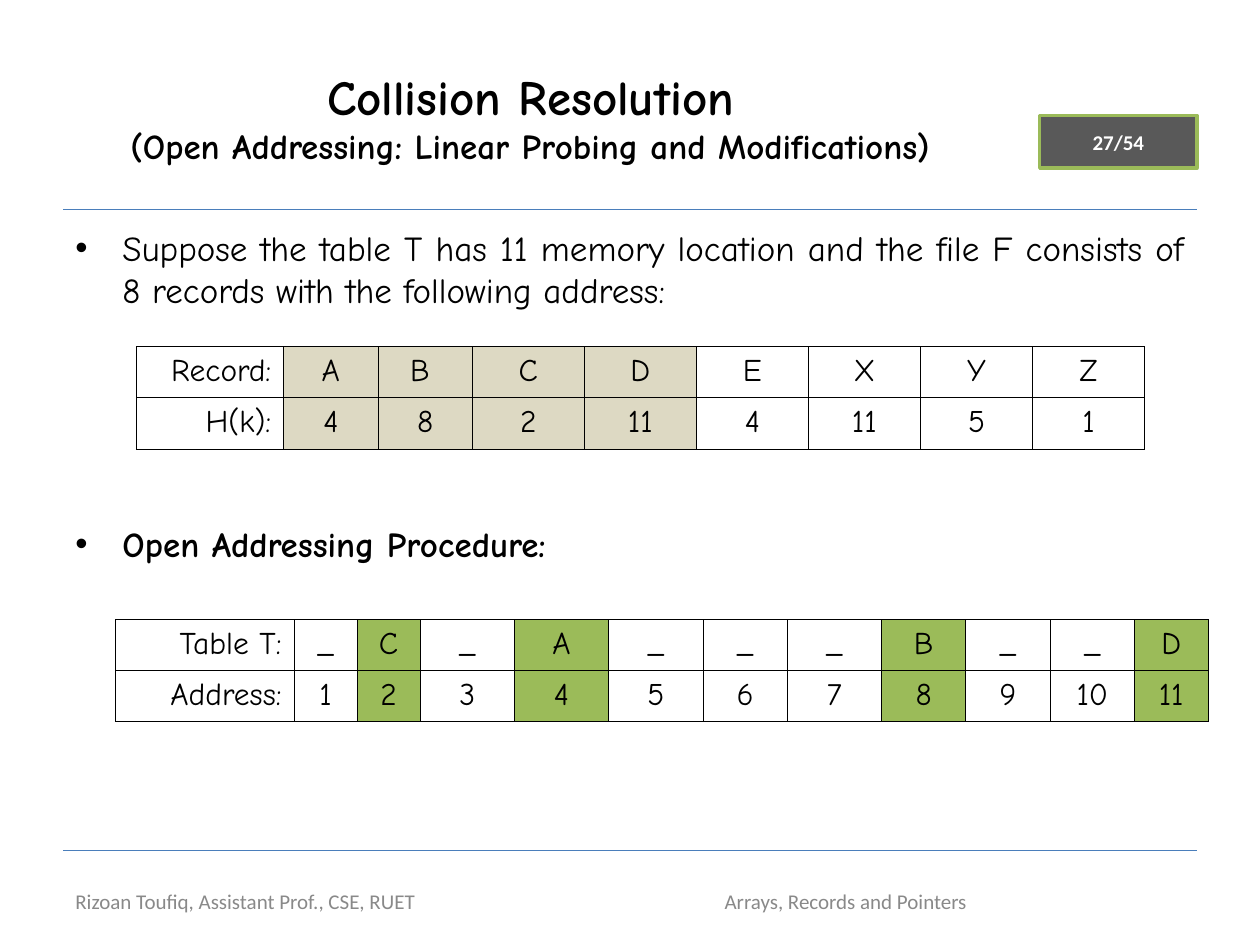
from dataclasses import dataclass

from lxml import etree
from pptx import Presentation
from pptx import util as u
from pptx.dml.color import RGBColor
from pptx.enum import shapes, text
from pptx.oxml import ns


@dataclass(frozen=True)
class Theme:
    body_font: str = "Comic Neue"
    small_font: str = "Calibri"
    ink: str = "000000"
    paper: str = "FFFFFF"
    muted: str = "898989"
    rule: str = "4A7EBB"
    badge: str = "595959"
    green: str = "9BBB59"
    sand: str = "DDD9C3"
    title_size: int = 28
    body_size: int = 20
    cell_size: int = 18
    small_size: int = 12


THEME = Theme()
ALIGN = text.PP_ALIGN
ANCHOR = text.MSO_ANCHOR


def color(value):
    return RGBColor.from_string(value)


def child(parent, tag, **attributes):
    return etree.SubElement(parent, ns.qn(tag), attributes)


def write(para, words, size=THEME.body_size, font=THEME.body_font,
          ink=THEME.ink, bold=False, align=ALIGN.LEFT):
    para.alignment = align
    span = para.add_run()
    span.text = words
    span.font.size = u.Pt(size)
    span.font.name = font
    span.font.bold = bold
    span.font.color.rgb = color(ink)


class SlideBuilder:
    def __init__(self, page, theme):
        self.page = page
        self.theme = theme

    def rule(self, left, right, top):
        line = self.page.shapes.add_connector(
            shapes.MSO_CONNECTOR.STRAIGHT, u.Cm(left), u.Cm(top), u.Cm(right), u.Cm(top))
        line.line.color.rgb = color(self.theme.rule)
        line.line.width = u.Pt(0.75)
        child(line._element.spPr, "a:effectLst")

    def text_box(self, left, top, width, height, anchor=ANCHOR.MIDDLE):
        box = self.page.shapes.add_textbox(u.Cm(left), u.Cm(top), u.Cm(width), u.Cm(height))
        box.text_frame.word_wrap = True
        box.text_frame.vertical_anchor = anchor
        return box.text_frame

    def title(self, heading, subheading, *place):
        para = self.text_box(*place).paragraphs[0]
        write(para, heading, size=self.theme.title_size, bold=True, align=ALIGN.CENTER)
        para.add_line_break()
        write(para, subheading, bold=True, align=ALIGN.CENTER)

    def bullets(self, items, *place):
        frame = self.text_box(*place, anchor=ANCHOR.TOP)
        for index, (words, gap, bold) in enumerate(items):
            para = frame.add_paragraph() if index else frame.paragraphs[0]
            para.space_before = u.Pt(gap)
            write(para, words, bold=bold, align=ALIGN.JUSTIFY)
            props = para._p.get_or_add_pPr()
            props.set("marL", str(u.Cm(0.95)))
            props.set("indent", str(-u.Cm(0.95)))
            child(child(props, "a:buClr"), "a:srgbClr", val=self.theme.ink)
            child(props, "a:buFont", typeface="Arial")
            child(props, "a:buChar", char="•")

    def footer(self, words, align, *place):
        write(self.text_box(*place).paragraphs[0], words, size=self.theme.small_size,
              font=self.theme.small_font, ink=self.theme.muted, align=align)

    def badge(self, words, left, top, width, height):
        box = self.page.shapes.add_shape(
            shapes.MSO_SHAPE.RECTANGLE, u.Cm(left), u.Cm(top), u.Cm(width), u.Cm(height))
        box.shadow.inherit = False
        box.fill.solid()
        box.fill.fore_color.rgb = color(self.theme.badge)
        box.line.color.rgb = color(self.theme.green)
        box.line.width = u.Pt(2)
        box.text_frame.vertical_anchor = ANCHOR.MIDDLE
        write(box.text_frame.paragraphs[0], words, size=self.theme.small_size,
              font=self.theme.small_font, ink=self.theme.paper, bold=True, align=ALIGN.CENTER)

    def border(self, cell):
        props = cell._tc.get_or_add_tcPr()
        for side in ("a:lnL", "a:lnR", "a:lnT", "a:lnB"):
            edge = child(props, side, w=str(u.Pt(0.45)))
            child(child(edge, "a:solidFill"), "a:srgbClr", val=self.theme.ink)

    def table(self, left, top, widths, rows, marked, highlight):
        row_height = u.Cm(1.03)
        grid = self.page.shapes.add_table(
            len(rows), len(widths), u.Cm(left), u.Cm(top),
            u.Cm(sum(widths)), row_height * len(rows)).table
        grid.first_row = grid.horz_banding = False
        for column, width in zip(grid.columns, widths):
            column.width = u.Cm(width)
        for row_index, row in enumerate(rows):
            grid.rows[row_index].height = row_height
            for column_index, words in enumerate(row):
                cell = grid.cell(row_index, column_index)
                self.border(cell)
                cell.fill.solid()
                cell.fill.fore_color.rgb = color(
                    highlight if column_index in marked else self.theme.paper)
                write(cell.text_frame.paragraphs[0], words, size=self.theme.cell_size,
                      align=ALIGN.CENTER if column_index else ALIGN.RIGHT)


def main():
    deck = Presentation()
    deck.slide_width, deck.slide_height = u.Cm(25.4), u.Cm(19.05)
    page = deck.slides.add_slide(deck.slide_layouts[6])
    builder = SlideBuilder(page, THEME)

    for top in (4.23, 17.15):
        builder.rule(1.27, 24.13, top)
    builder.badge("27/54", 20.96, 2.33, 3.17, 1.06)
    builder.title("Collision Resolution",
                  "(Open Addressing: Linear Probing and Modifications)",
                  1.27, 0.76, 18.85, 3.18)
    builder.bullets(
        [("Suppose the table T has 11 memory location and the file F consists of "
          "8 records with the following address:", 5, False),
         ("Open Addressing Procedure:", 121, True)],
        1.27, 4.45, 22.86, 12.57)
    builder.footer("Rizoan Toufiq, Assistant Prof., CSE, RUET", ALIGN.LEFT,
                   1.27, 17.65, 11.23, 1.02)
    builder.footer("Arrays, Records and Pointers", ALIGN.CENTER,
                   13.34, 17.65, 7.42, 1.02)

    builder.table(
        2.75, 6.99, [2.97] + [1.9] * 2 + [2.26] * 6,
        [["Record:", "A", "B ", "C", "D", "E", "X", "Y", "Z"],
         ["H(k):", "4", "8", "2", "11", "4", "11", "5", "1"]],
        range(1, 5), THEME.sand)

    stored = {2: "C", 4: "A", 8: "B", 11: "D"}
    addresses = range(1, 12)
    builder.table(
        2.33, 12.49,
        [3.6] + [1.27] * 2 + [1.9] * 3 + [1.7, 1.9] + [1.7] * 3 + [1.48],
        [["Table T:"] + [stored.get(address, "_") for address in addresses],
         ["Address:"] + [str(address) for address in addresses]],
        stored, THEME.green)

    deck.save("out.pptx")


if __name__ == "__main__":
    main()
